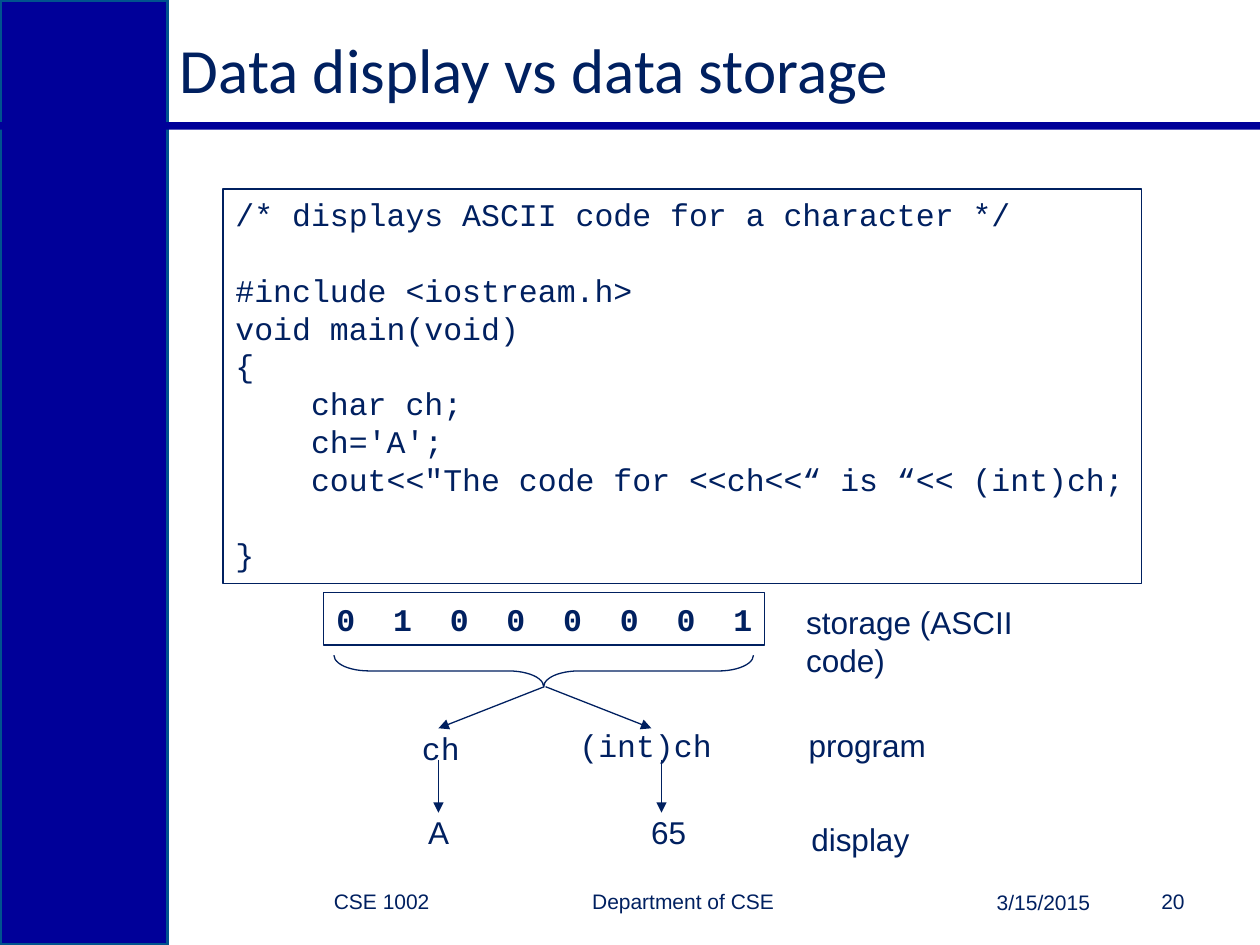
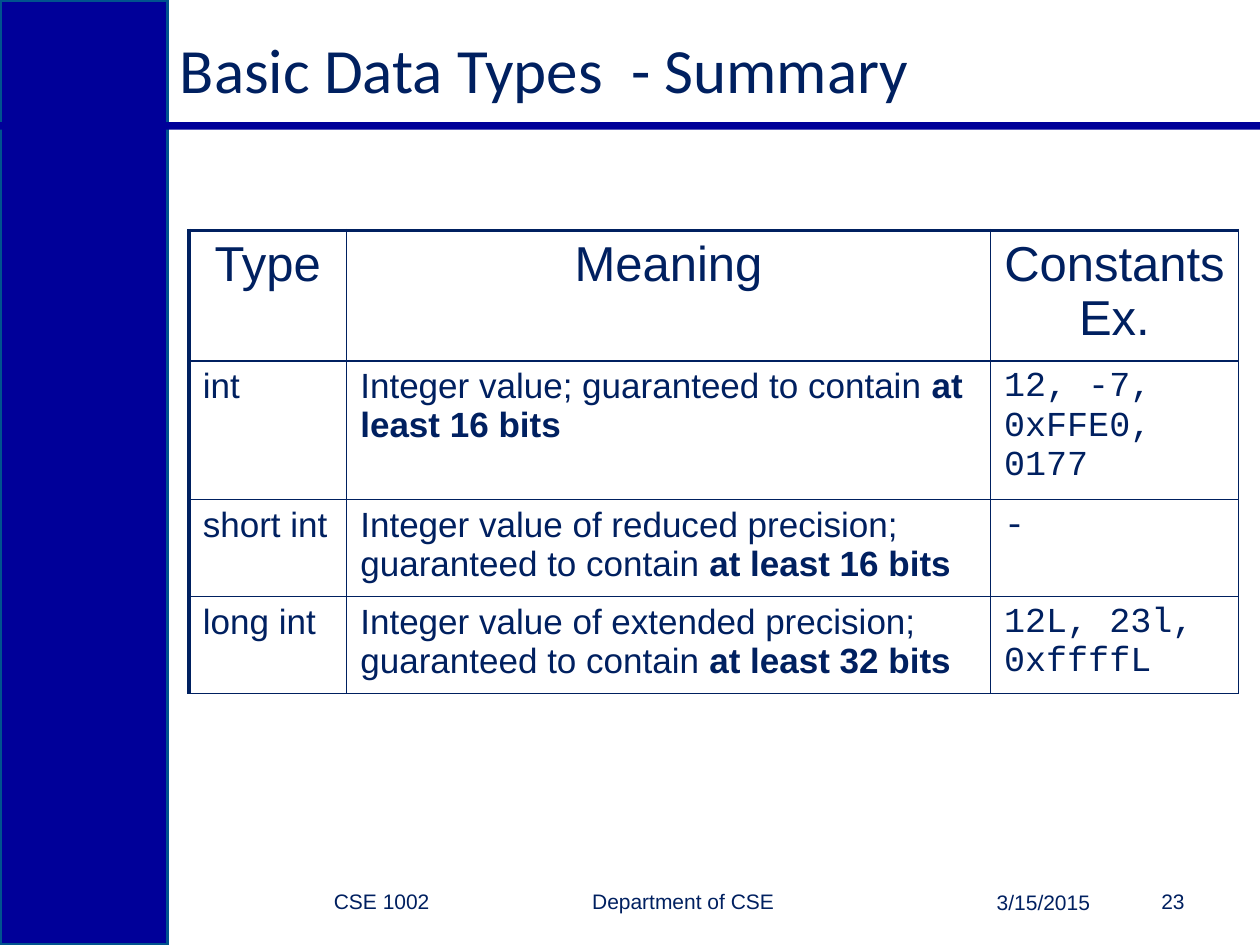
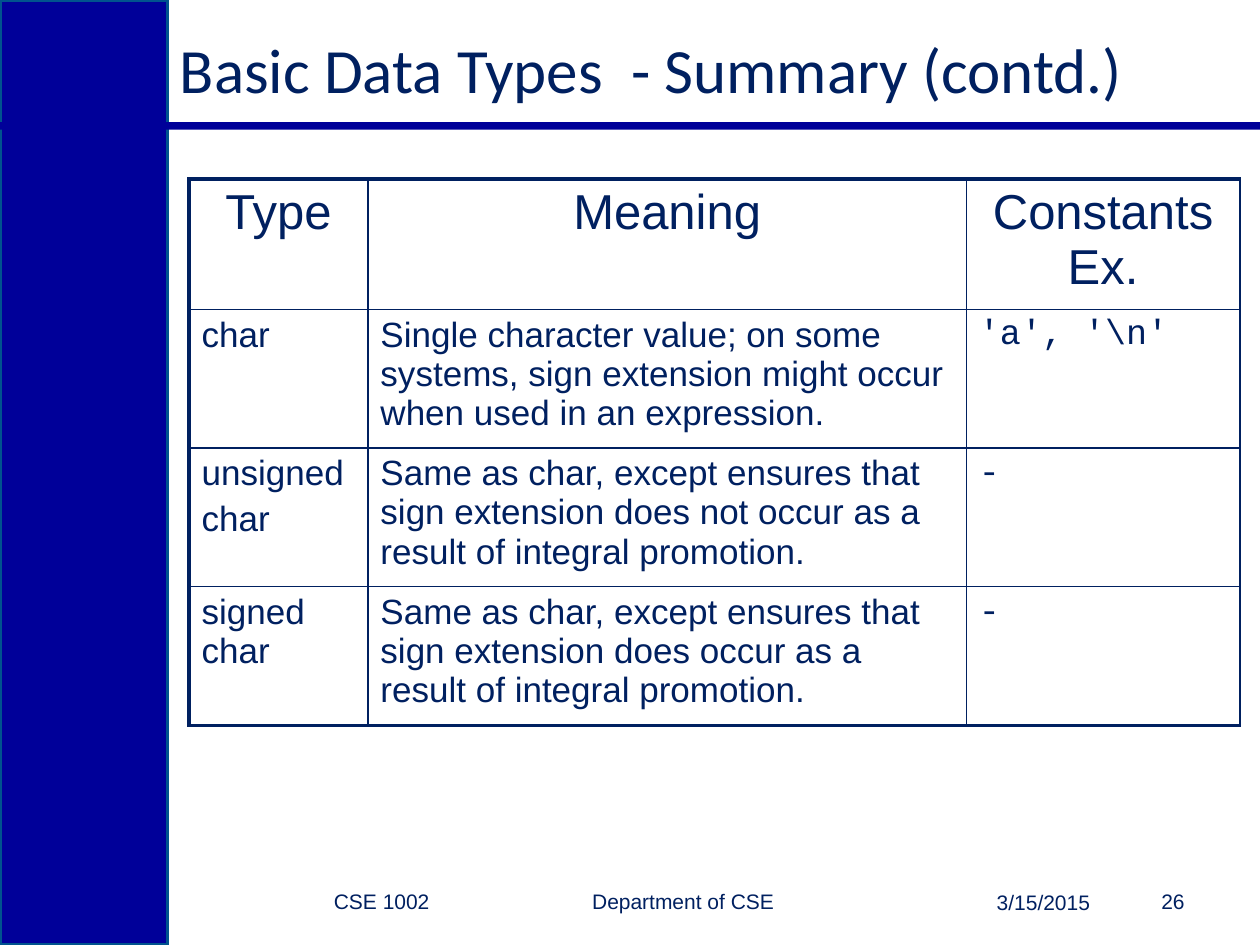
from pptx import Presentation
from pptx.dml.color import RGBColor
from pptx.enum import shapes, text
from pptx.oxml import parse_xml
from pptx.oxml.ns import nsdecls, qn
from pptx.util import Inches, Pt

# Shared style
INK, BAND, EDGE = "002060", "000099", "00538E"
SANS, MONO, HEAD = "Arial", "Courier New", "Calibri"
LEFT, MID, RIGHT = text.PP_ALIGN.LEFT, text.PP_ALIGN.CENTER, text.PP_ALIGN.RIGHT
TOP, CENTER = text.MSO_ANCHOR.TOP, text.MSO_ANCHOR.MIDDLE
RECT = shapes.MSO_SHAPE.RECTANGLE
COURSE, DEPT, DATE = "CSE 1002", "Department of CSE", "3/15/2015"

# Storage slide: an empty string is a blank code line
CODE = [
    "/* displays ASCII code for a character */",
    "",
    "#include <iostream.h>",
    "void main(void)",
    "{",
    "    char ch;",
    "    ch='A';",
    "    cout<<\"The code for <<ch<<“ is “<< (int)ch;",
    "",
    "}",
]
BITS = "0  1  0  0  0  0  0  1"
LABELS = [  # words, font, left, top, width
    ("storage (ASCII code)", SANS, 6.3, 4.74, 2.53),
    ("program", SANS, 6.32, 5.71, 1.13),
    ("display", SANS, 6.34, 6.46, 0.98),
    ("ch", MONO, 3.25, 5.74, 0.5),
    ("(int)ch", MONO, 4.5, 5.71, 1.26),
    ("A", SANS, 3.3, 6.4, 0.37),
    ("65", SANS, 5.07, 6.4, 0.48),
]
ARROWS = [  # from x, y, to x, y
    (4.32, 5.45, 3.48, 5.78),
    (4.33, 5.45, 5.17, 5.78),
    (3.48, 6.03, 3.48, 6.45),
    (5.25, 6.03, 5.25, 6.45),
]

# Table slides: a row is type lines, meaning, bold end of meaning, constants
HEADS = ["Type", "Meaning", "Constants Ex."]
INTS = dict(
    top=1.83, cols=[1.25, 5.11, 1.97], high=[1.03, 1.1, 0.77, 0.77],
    pad=0.11, foot=1,
    rows=[
        (["int"], "Integer value; guaranteed to contain ",
         "at least 16 bits", "12, -7, 0xFFE0, 0177"),
        (["short int"],
         "Integer value of reduced precision; guaranteed to contain ",
         "at least 16 bits", "-"),
        (["long int"],
         "Integer value of extended precision; guaranteed to contain ",
         "at least 32 bits", "12L, 23l, 0xffffL"),
    ])
CHARS = dict(
    top=1.42, cols=[1.42, 4.75, 2.17], high=[1.03, 1.1, 1.1, 1.1],
    pad=0.1, foot=2.25,
    rows=[
        (["char"], "Single character value; on some systems, sign extension "
         "might occur when used in an expression.", "", "'a', '\\n'"),
        (["unsigned", "char"], "Same as char, except ensures that sign "
         "extension does not occur as a result of integral promotion.",
         "", "-"),
        (["signed char"], "Same as char, except ensures that sign "
         "extension does occur as a result of integral promotion.", "", "-"),
    ])


def rgb(code):
    return RGBColor.from_string(code)


def write(para, words, size, face=SANS, bold=False):
    run = para.add_run()
    run.text = words
    font = run.font
    font.size, font.name, font.bold = Pt(size), face, bold
    font.color.rgb = rgb(INK)


def box(slide, at, words, size, face=SANS, align=LEFT, anchor=CENTER,
        wrap=True):
    shape = slide.shapes.add_textbox(*map(Inches, at))
    frame = shape.text_frame
    frame.word_wrap, frame.vertical_anchor = wrap, anchor
    para = frame.paragraphs[0]
    para.alignment = align
    write(para, words, size, face)
    return shape


def draw(slide, kind, at, fill=None, line=None, width=0.75):
    shape = slide.shapes.add_shape(kind, *map(Inches, at))
    shape.shadow.inherit = False
    if fill:
        shape.fill.solid()
        shape.fill.fore_color.rgb = rgb(fill)
    else:
        shape.fill.background()
    if line:
        shape.line.color.rgb = rgb(line)
        shape.line.width = Pt(width)
    else:
        shape.line.fill.background()
    return shape


def arrow(slide, ends):
    link = slide.shapes.add_connector(
        shapes.MSO_CONNECTOR.STRAIGHT, *map(Inches, ends))
    link.line.color.rgb = rgb(INK)
    link.line.width = Pt(0.75)
    link.line._get_or_add_ln().append(
        parse_xml(f'<a:tailEnd {nsdecls("a")} type="triangle"/>'))
    link._element.spPr.append(parse_xml(f'<a:effectLst {nsdecls("a")}/>'))


def frame_slide(deck, title, num):
    slide = deck.slides.add_slide(deck.slide_layouts[6])
    # Side band and rule
    draw(slide, RECT, (0, 0, 1.33, 7.5), BAND, EDGE, 2)
    draw(slide, RECT, (0, 0.97, 10, 0.06), BAND)
    box(slide, (1.33, 0.17, 7.83, 0.75), title, 36, HEAD)
    # Footer, with a tab between course and department
    foot = box(slide, (1.42, 6.95, 4.83, 0.4), f"{COURSE}\t{DEPT}", 12)
    foot.text_frame.margin_left = Inches(1.23)
    props = foot.text_frame.paragraphs[0]._p.get_or_add_pPr()
    props.append(parse_xml(
        f'<a:tabLst {nsdecls("a")}>'
        f'<a:tab pos="{Inches(2.05)}" algn="l"/></a:tabLst>'))
    box(slide, (7, 6.96, 1.75, 0.4), DATE, 12, align=RIGHT)
    box(slide, (8.75, 6.95, 0.75, 0.4), num, 12, align=RIGHT)
    return slide


def list_code(slide):
    frame = draw(slide, RECT, (1.77, 1.5, 7.29, 3.13), line=INK).text_frame
    frame.word_wrap, frame.vertical_anchor = False, TOP
    pitch, gap, para = 21.6, 0, frame.paragraphs[0]
    for row in CODE:
        if not row:
            gap += pitch
            continue
        if para.runs:
            para = frame.add_paragraph()
        para.alignment, para.line_spacing = LEFT, Pt(pitch)
        if gap:
            para.space_before = Pt(gap)
        write(para, row, 18, MONO)
        gap = 0


def show_bits(slide):
    frame = draw(slide, RECT, (2.57, 4.7, 3.5, 0.42), line=INK).text_frame
    frame.word_wrap, frame.vertical_anchor = False, CENTER
    frame.paragraphs[0].alignment = MID
    write(frame.paragraphs[0], BITS, 18, MONO, True)
    brace = draw(slide, shapes.MSO_SHAPE.RIGHT_BRACE,
                 (4.19, 3.66, 0.25, 3.33), line=INK)
    brace.rotation = 90
    brace.adjustments[0] = 1.11
    for words, face, left, top, wide in LABELS:
        box(slide, (left, top, wide, 0.4), words, 18, face, LEFT, TOP, False)
    for ends in ARROWS:
        arrow(slide, ends)


def edge(cell, sides):
    props = cell._tc.get_or_add_tcPr()
    for spot, (side, width) in enumerate(sides):
        props.insert(spot, parse_xml(
            f'<a:ln{side} {nsdecls("a")} w="{Pt(width)}"><a:solidFill>'
            f'<a:srgbClr val="{INK}"/></a:solidFill></a:ln{side}>'))


def fill_cell(cell, lines, size, face=SANS, tail="", align=LEFT):
    frame = cell.text_frame
    for i, words in enumerate(lines):
        para = frame.add_paragraph() if i else frame.paragraphs[0]
        para.alignment = align
        if i:
            para.space_before = Pt(size * 0.2)
        write(para, words, size, face)
    if tail:
        write(para, tail, size, face, True)


def add_grid(slide, data):
    cols, high = data["cols"], data["high"]
    grid = slide.shapes.add_table(
        len(high), len(cols), Inches(1.5), Inches(data["top"]),
        Inches(sum(cols)), Inches(sum(high))).table
    grid.first_row = grid.horz_banding = False
    for col, wide in zip(grid.columns, cols):
        col.width = Inches(wide)
    for row, tall in zip(grid.rows, high):
        row.height = Inches(tall)
    # Heavy lines at the left and top, and at the foot where asked
    last = len(high) - 1
    for r in range(len(high)):
        for c in range(len(cols)):
            cell = grid.cell(r, c)
            cell.fill.background()
            cell.margin_left = cell.margin_right = Inches(data["pad"])
            edge(cell, [("L", 1 if c else 2.25), ("R", 1),
                        ("T", 1 if r else 2.25),
                        ("B", data["foot"] if r == last else 1)])
    for c, head in enumerate(HEADS):
        fill_cell(grid.cell(0, c), [head], 28, align=MID)
    for r, (kind, mean, tail, const) in enumerate(data["rows"], 1):
        fill_cell(grid.cell(r, 0), kind, 20)
        fill_cell(grid.cell(r, 1), [mean], 20, tail=tail)
        fill_cell(grid.cell(r, 2), [const], 20, MONO)


def main():
    deck = Presentation()
    deck.slide_width, deck.slide_height = Inches(10), Inches(7.5)
    slide = frame_slide(deck, "Data display vs data storage", "20")
    list_code(slide)
    show_bits(slide)
    for title, num, data in [
            ("Basic Data Types  - Summary", "23", INTS),
            ("Basic Data Types  - Summary (contd.)", "26", CHARS)]:
        add_grid(frame_slide(deck, title, num), data)
    deck.save("out.pptx")


if __name__ == "__main__":
    main()
